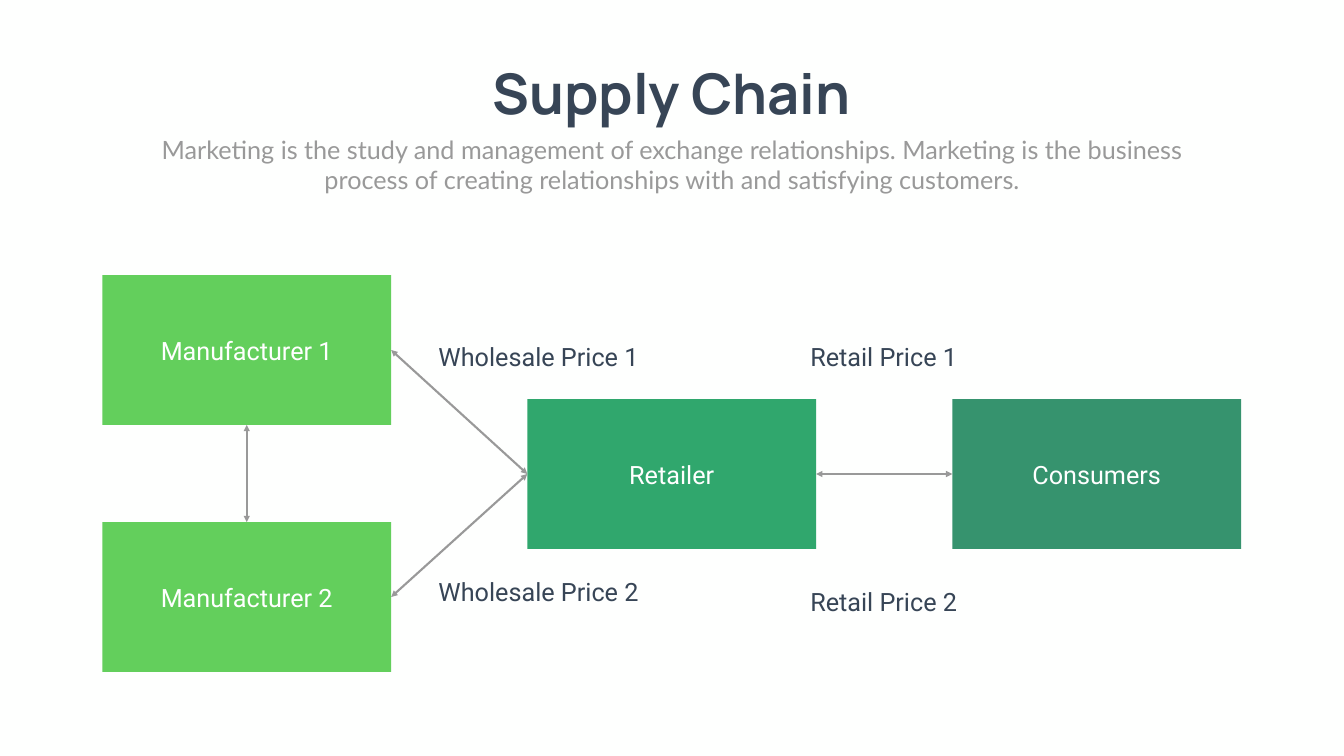
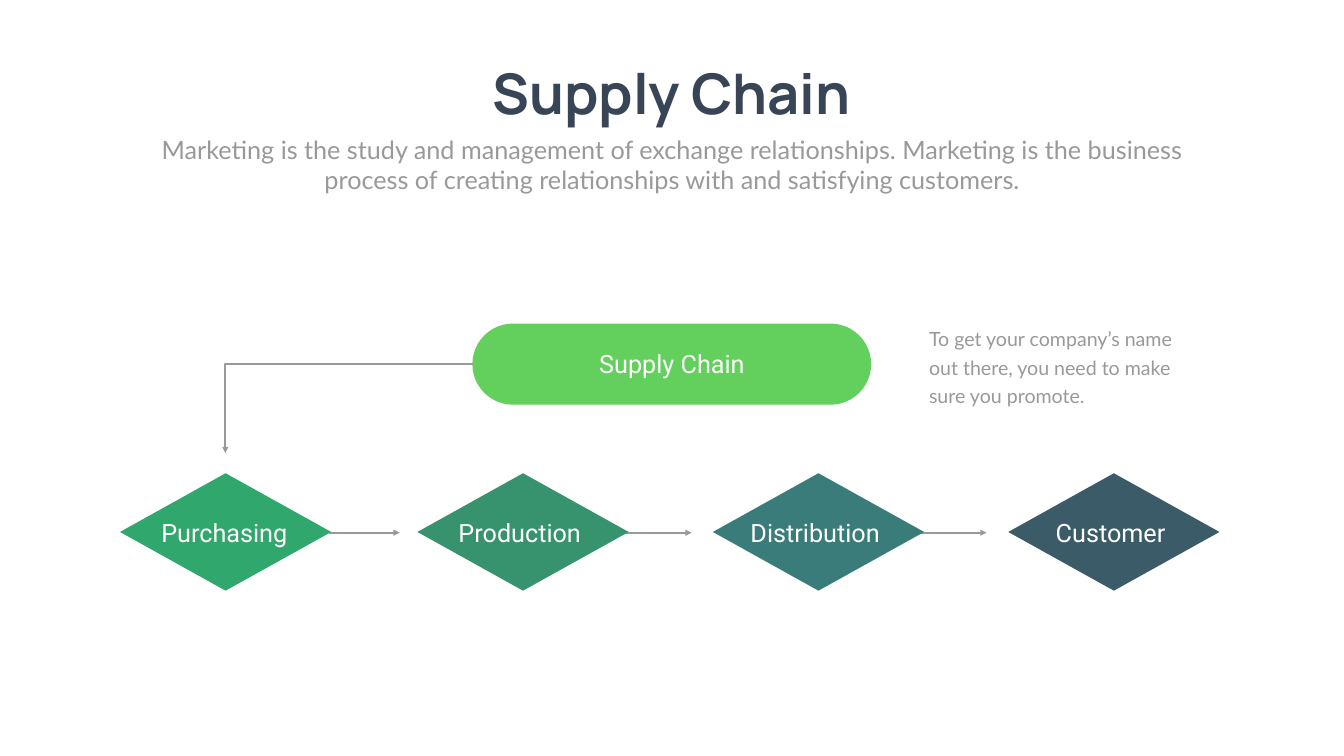
from lxml import etree
from pptx import Presentation
from pptx.dml.color import RGBColor
from pptx.enum.shapes import MSO_CONNECTOR, MSO_SHAPE
from pptx.enum.text import MSO_ANCHOR, MSO_AUTO_SIZE, PP_ALIGN
from pptx.oxml.ns import qn
from pptx.util import Inches, Pt

RECT, PILL, DIAMOND = MSO_SHAPE.RECTANGLE, MSO_SHAPE.ROUNDED_RECTANGLE, MSO_SHAPE.DIAMOND
STRAIGHT, ELBOW = MSO_CONNECTOR.STRAIGHT, MSO_CONNECTOR.ELBOW
LEFT, CENTER = PP_ALIGN.LEFT, PP_ALIGN.CENTER
TOP, MIDDLE = MSO_ANCHOR.TOP, MSO_ANCHOR.MIDDLE
GROW = MSO_AUTO_SIZE.SHAPE_TO_FIT_TEXT
SIDE_TOP, SIDE_LEFT, SIDE_BOTTOM, SIDE_RIGHT = range(4)
TITLE_ONLY = 5

BACKGROUND = RGBColor(0xFE, 0xFF, 0xFE)
WHITE = RGBColor(0xFF, 0xFF, 0xFF)
NAVY = RGBColor(0x37, 0x45, 0x56)
GRAY = RGBColor(0x99, 0x99, 0x99)
LIME = RGBColor(0x63, 0xCF, 0x5C)
GREEN = RGBColor(0x30, 0xA7, 0x6D)
FOREST = RGBColor(0x36, 0x93, 0x6E)
TEAL = RGBColor(0x3A, 0x7C, 0x79)
SLATE = RGBColor(0x3B, 0x5B, 0x69)

TITLE_FONT, BODY_FONT, LABEL_FONT = "Manrope", "Lato", "Roboto"
TITLE = "Supply Chain"
SUBTITLE = ("Marketing is the study and management of exchange relationships. "
            "Marketing is the business process of creating relationships with "
            "and satisfying customers.")


class Deck:
    def __init__(self):
        self.prs = Presentation()
        self.prs.slide_width, self.prs.slide_height = Inches(26.66), Inches(15)
        fill = self.prs.slide_master.background.fill
        fill.solid()
        fill.fore_color.rgb = BACKGROUND
        self.s = None

    def new_slide(self, title, subtitle):
        self.s = self.prs.slides.add_slide(self.prs.slide_layouts[TITLE_ONLY])
        sp = self.s.shapes.title
        sp.left, sp.top, sp.width, sp.height = map(Inches, (9.37, 1.12, 7.91, 1.45))
        self.set_text(sp.text_frame, title, NAVY, TITLE_FONT, 80, bold=True)
        sp.text_frame.word_wrap = False
        sp.text_frame.auto_size = GROW
        self.text(subtitle, 2.92, 2.61, 20.82, 1.31, GRAY, BODY_FONT)

    def set_text(self, tf, text, color, font=LABEL_FONT, size=36, align=CENTER,
                 anchor=TOP, bold=False):
        tf.text = text
        tf.vertical_anchor = anchor
        p = tf.paragraphs[0]
        p.alignment = align
        p.font.name, p.font.size, p.font.bold = font, Pt(size), bold
        p.font.color.rgb = color
        return p

    def text(self, text, x, y, w, h, color, font=LABEL_FONT, size=36,
             align=CENTER, wrap=True):
        tf = self.s.shapes.add_textbox(*map(Inches, (x, y, w, h))).text_frame
        tf.word_wrap = wrap
        tf.auto_size = GROW
        return self.set_text(tf, text, color, font, size, align)

    def shape(self, kind, x, y, w, h, color, text=None):
        sp = self.s.shapes.add_shape(kind, *map(Inches, (x, y, w, h)))
        sp.shadow.inherit = False
        sp.fill.solid()
        sp.fill.fore_color.rgb = color
        sp.line.fill.background()
        if text:
            self.set_text(sp.text_frame, text, WHITE, anchor=MIDDLE)
        return sp

    def arrow(self, x1, y1, x2, y2, kind=STRAIGHT, ends=("tailEnd",)):
        line = self.s.shapes.add_connector(kind, *map(Inches, (x1, y1, x2, y2)))
        line.line.color.rgb = GRAY
        line.line.width = Pt(3)
        sp_pr = line._element.spPr
        for end in ends:
            etree.SubElement(sp_pr.find(qn("a:ln")), qn(f"a:{end}"), type="triangle")
        etree.SubElement(sp_pr, qn("a:effectLst"))
        return line

    def link(self, first, first_side, second, second_side):
        """Join two shapes with a double-headed arrow."""
        line = self.arrow(0, 0, 1, 1, ends=("headEnd", "tailEnd"))
        line.begin_connect(first, first_side)
        line.end_connect(second, second_side)

    def corner_arrow(self, x1, y1, x2, y2):
        """Run across to x2, then down to y2."""
        line = self.arrow(x1, y1, x2, y2, ELBOW)
        guides = line._element.spPr.find(qn("a:prstGeom")).get_or_add_avLst()
        etree.SubElement(guides, qn("a:gd"), name="adj1", fmla="val 100000")


def build_price_flow(deck):
    deck.new_slide(TITLE, SUBTITLE)
    maker_1, maker_2, retailer, consumers = [
        deck.shape(RECT, x, y, 5.73, 2.97, color, name)
        for name, x, y, color in (
            ("Manufacturer 1", 2.03, 5.46, LIME),
            ("Manufacturer 2", 2.03, 10.36, LIME),
            ("Retailer", 10.46, 7.92, GREEN),
            ("Consumers", 18.89, 7.92, FOREST),
        )
    ]
    deck.link(maker_1, SIDE_BOTTOM, maker_2, SIDE_TOP)
    for maker in (maker_1, maker_2):
        deck.link(maker, SIDE_RIGHT, retailer, SIDE_LEFT)
    deck.link(retailer, SIDE_RIGHT, consumers, SIDE_LEFT)

    for price, x, w, align, tops in (
        ("Retail Price", 15.93, 3.2, CENTER, (6.72, 11.59)),
        ("Wholesale Price", 8.6, 4.26, LEFT, (6.72, 11.38)),
    ):
        for number, y in enumerate(tops, 1):
            deck.text(f"{price} {number}", x, y, w, 0.71, NAVY, align=align, wrap=False)


def build_stages(deck):
    deck.new_slide(TITLE, SUBTITLE)
    for x in (6.52, 12.31, 18.16):
        deck.arrow(x, 10.57, x + 1.41, 10.57)
    deck.corner_arrow(9.61, 7.23, 4.47, 8.99)

    pill = deck.shape(PILL, 9.37, 6.42, 7.91, 1.61, LIME)
    pill.adjustments[0] = 0.5
    deck.text("Supply Chain", 11.63, 6.87, 3.4, 0.71, WHITE)

    stages = (
        ("Purchasing", 2.38, GREEN),
        ("Production", 8.28, FOREST),
        ("Distribution", 14.14, TEAL),
        ("Customer", 20, SLATE),
    )
    for i, (stage, x, color) in enumerate(stages):
        deck.shape(DIAMOND, x, 9.39, 4.19, 2.33, color)
        deck.text(stage, 2.75 + 5.86 * i, 10.21, 3.4, 0.71, WHITE)

    p = deck.text("To get your company’s name out there, you need to make sure you promote.",
                  18.33, 6.34, 5.27, 1.77, GRAY, BODY_FONT, 28, LEFT)
    p.line_spacing = Pt(40.8)


def main():
    deck = Deck()
    build_price_flow(deck)
    build_stages(deck)
    deck.prs.save("out.pptx")


if __name__ == "__main__":
    main()
